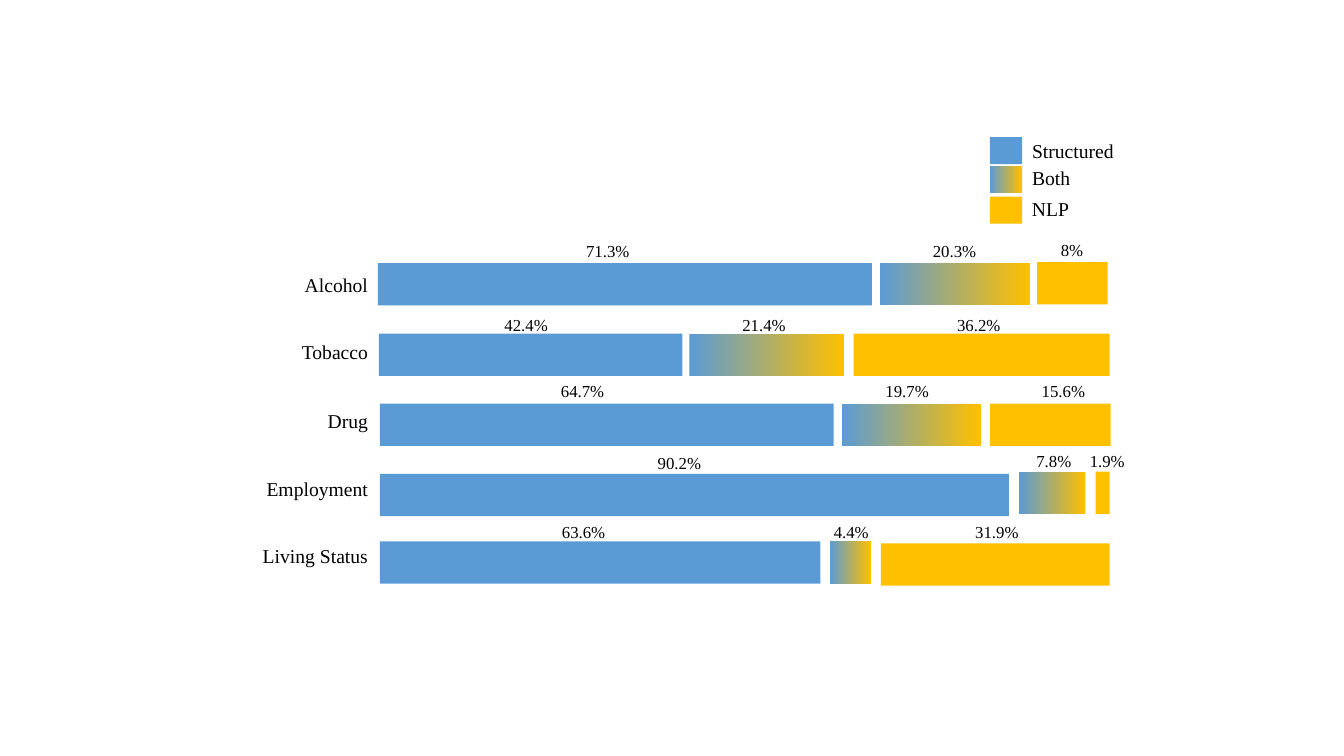
from dataclasses import dataclass

from pptx import Presentation
from pptx.dml.color import RGBColor
from pptx.enum.shapes import MSO_SHAPE as Shape
from pptx.enum.text import MSO_AUTO_SIZE as AutoSize, PP_ALIGN as Align
from pptx.shapes.autoshape import Shape as AutoShape
from pptx.util import Inches, Pt

COLS, ROWS = 160, 90
UNIT = Inches(1) / 12
BLUE = RGBColor(0x5B, 0x9B, 0xD5)
GOLD = RGBColor(0xFF, 0xC0, 0x00)
BLACK = RGBColor(0x00, 0x00, 0x00)
FILLS = ((BLUE,), (BLUE, GOLD), (GOLD,))

BAR_H = 5.04
NAME_RIGHT, NAME_H = 45, 4.08
LABEL_H = 3.6
LABEL_W = {2: 5.16, 4: 6.6, 5: 7.68}
SWATCH_X, SWATCH_W, SWATCH_H = 117.84, 3.84, 3.24
NAME_FONT = {"name": "Times New Roman", "size": Pt(14)}
LABEL_FONT = {"name": "Times New Roman", "size": Pt(12)}


@dataclass(frozen=True)
class Segment:
    label: str
    col: float
    width: float
    label_mid: float
    shift: float = 0


@dataclass(frozen=True)
class Category:
    name: str
    name_width: float
    name_row: float
    bar_row: float
    label_row: float
    segments: tuple[Segment, ...]


@dataclass(frozen=True)
class LegendEntry:
    name: str
    width: float
    name_row: float
    swatch_row: float


CATEGORIES = (
    Category("Alcohol", 9.96, 31.92, 31.32, 28.08, (
        Segment("71.3%", 45, 58.8, 72.36),
        Segment("20.3%", 104.76, 17.88, 113.64),
        Segment("8%", 123.48, 8.4, 127.62, -0.12))),
    Category("Tobacco", 10.32, 39.84, 39.72, 36.84, (
        Segment("42.4%", 45.12, 36.12, 62.64),
        Segment("21.4%", 82.08, 18.36, 90.96),
        Segment("36.2%", 101.64, 30.48, 116.52))),
    Category("Drug", 7.32, 48.12, 48.05, 44.74, (
        Segment("64.7%", 45.24, 54, 69.36),
        Segment("19.7%", 100.2, 16.56, 108),
        Segment("15.6%", 117.84, 14.4, 126.6))),
    Category("Employment", 14.64, 56.16, 56.4, 53.28, (
        Segment("90.2%", 45.24, 74.88, 80.88),
        Segment("7.8%", 121.32, 7.92, 125.46, -0.24),
        Segment("1.9%", 130.44, 1.68, 131.82, -0.24))),
    Category("Living Status", 15, 64.2, 64.44, 61.5, (
        Segment("63.6%", 45.24, 52.44, 69.48),
        Segment("4.4%", 98.76, 4.92, 101.34),
        Segment("31.9%", 104.88, 27.24, 118.68, 0.24))),
)
LEGEND = (
    LegendEntry("Structured", 12.24, 15.96, 16.32),
    LegendEntry("Both", 6.96, 19.2, 19.8),
    LegendEntry("NLP", 6.84, 22.8, 23.4),
)


def grid(*cells: float) -> list[int]:
    return [round(c * UNIT) for c in cells]


def add_bar(shapes, col: float, row: float, width: float, height: float,
            colours: tuple[RGBColor, ...]) -> AutoShape:
    sp = shapes.add_shape(Shape.RECTANGLE, *grid(col, row, width, height))
    sp.shadow.inherit = False
    sp.line.fill.background()
    if len(colours) == 1:
        sp.fill.solid()
        sp.fill.fore_color.rgb = colours[0]
    else:
        sp.fill.gradient()
        sp.fill.gradient_angle = 0
        for stop, colour in zip(sp.fill.gradient_stops, colours):
            stop.color.rgb = colour
    return sp


def add_text(shapes, text: str, col: float, row: float, width: float,
             height: float, font: dict, align: Align) -> AutoShape:
    sp = shapes.add_textbox(*grid(col, row, width, height))
    tf = sp.text_frame
    tf.word_wrap = False
    tf.auto_size = AutoSize.SHAPE_TO_FIT_TEXT
    p = tf.paragraphs[0]
    p.alignment = align
    r = p.add_run()
    r.text = text
    for key, value in font.items():
        setattr(r.font, key, value)
    r.font.color.rgb = BLACK
    return sp


def add_category(slide, cat: Category) -> None:
    shapes = slide.shapes.add_group_shape().shapes
    for seg, colours in zip(cat.segments, FILLS):
        add_bar(shapes, seg.col, cat.bar_row + seg.shift, seg.width, BAR_H, colours)
    add_text(shapes, cat.name, NAME_RIGHT - cat.name_width, cat.name_row,
             cat.name_width, NAME_H, NAME_FONT, Align.RIGHT)
    for seg in cat.segments:
        width = LABEL_W[len(seg.label)]
        add_text(shapes, seg.label, seg.label_mid - width / 2,
                 cat.label_row + min(seg.shift, 0), width, LABEL_H,
                 LABEL_FONT, Align.CENTER)


def add_legend(slide) -> None:
    for entry, colours in zip(LEGEND, FILLS):
        add_bar(slide.shapes, SWATCH_X, entry.swatch_row, SWATCH_W, SWATCH_H, colours)
        add_text(slide.shapes, entry.name, SWATCH_X + SWATCH_W, entry.name_row,
                 entry.width, NAME_H, NAME_FONT, Align.LEFT)


def main() -> None:
    prs = Presentation()
    prs.slide_width, prs.slide_height = grid(COLS, ROWS)
    s = prs.slides.add_slide(prs.slide_layouts[6])
    for cat in CATEGORIES:
        add_category(s, cat)
    add_legend(s)
    prs.save("out.pptx")


if __name__ == "__main__":
    main()
